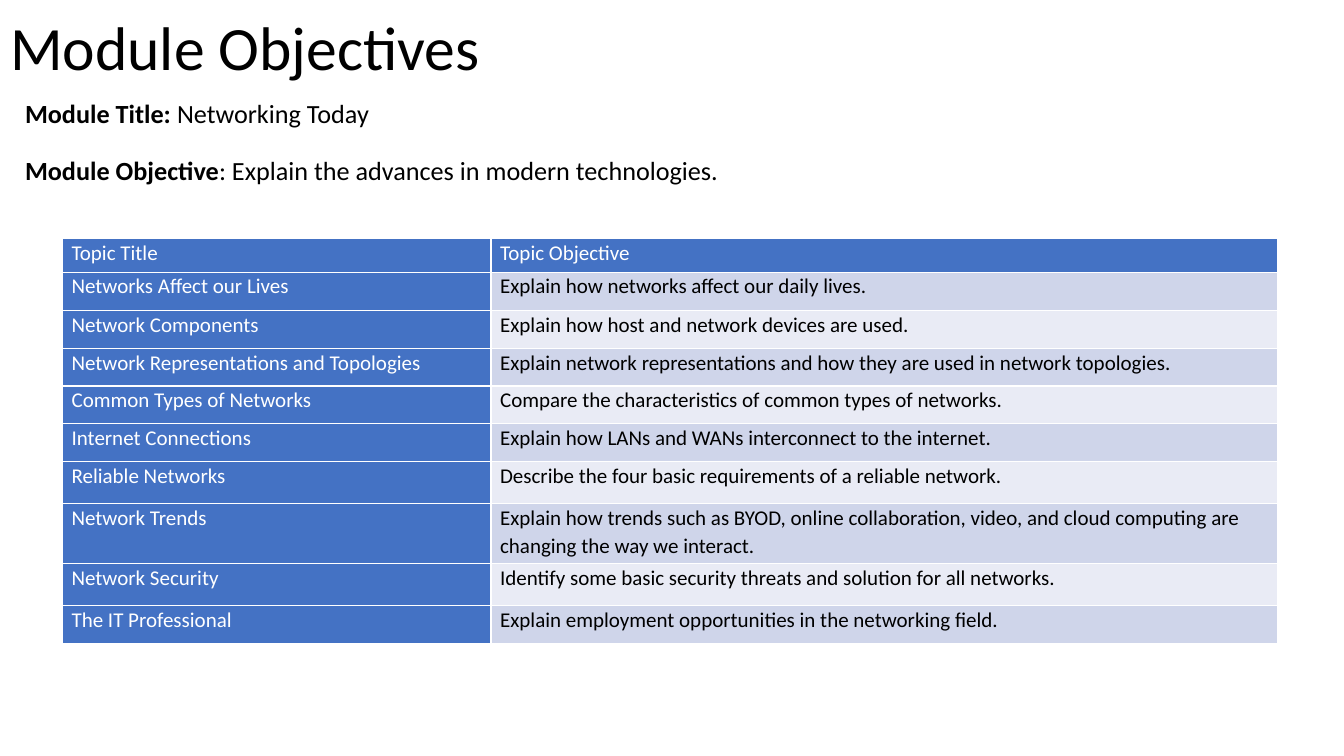
from lxml.etree import SubElement
from pptx import Presentation
from pptx.dml.color import RGBColor
from pptx.enum.text import MSO_ANCHOR, MSO_AUTO_SIZE, PP_ALIGN
from pptx.oxml.ns import qn
from pptx.util import Inches, Pt

TITLE = "Module Objectives"
INTRODUCTION = [
    ("Module Title: ", "Networking Today"),
    ("Module Objective", ": Explain the advances in modern technologies."),
]
TOPICS = [
    ("Topic Title", "Topic Objective", 0.33),
    ("Networks Affect our Lives", "Explain how networks affect our daily lives.", 0.38),
    ("Network Components", "Explain how host and network devices are used.", 0.38),
    ("Network Representations and Topologies",
     "Explain network representations and how they are used in network topologies.", 0.37),
    ("Common Types of Networks", "Compare the characteristics of common types of networks.", 0.37),
    ("Internet Connections", "Explain how LANs and WANs interconnect to the internet.", 0.38),
    ("Reliable Networks", "Describe the four basic requirements of a reliable network.", 0.42),
    ("Network Trends",
     "Explain how trends such as BYOD, online collaboration, video, and cloud computing are "
     "changing the way we interact.", 0.59),
    ("Network Security", "Identify some basic security threats and solution for all networks.", 0.42),
    ("The IT Professional", "Explain employment opportunities in the networking field.", 0.38),
]
COLUMN_WIDTHS = (4.25, 7.8)
BLUE, BANDS = "4472C4", ("E9EBF5", "CFD5EA")
BLACK, WHITE = "000000", "FFFFFF"


def color(value):
    return RGBColor.from_string(value)


def format_run(run, size, ink, bold=False):
    run.font.name = "Calibri"
    run.font.size = Pt(size)
    run.font.bold = bold
    run.font.color.rgb = color(ink)


def add_borders(cell):
    properties = cell._tc.get_or_add_tcPr()
    for side in ("lnL", "lnR", "lnT", "lnB"):
        line = SubElement(properties, qn(f"a:{side}"), w=str(Pt(1)))
        fill = SubElement(line, qn("a:solidFill"))
        SubElement(fill, qn("a:srgbClr"), val=WHITE)


def fill_cell(cell, text, fill, ink):
    cell.margin_left = cell.margin_right = Inches(0.09)
    cell.margin_top = cell.margin_bottom = 0
    add_borders(cell)
    cell.fill.solid()
    cell.fill.fore_color.rgb = color(fill)
    paragraph = cell.text_frame.paragraphs[0]
    paragraph.text = text
    paragraph.line_spacing = 1.07
    format_run(paragraph.runs[0], 15, ink)


def add_title(slide):
    title = slide.shapes.title
    title.left, title.top, title.width, title.height = map(Inches, (0, 0.06, 13.33, 0.89))
    frame = title.text_frame
    frame.text = TITLE
    frame.auto_size = MSO_AUTO_SIZE.NONE
    frame.vertical_anchor = MSO_ANCHOR.MIDDLE
    paragraph = frame.paragraphs[0]
    paragraph.alignment = PP_ALIGN.LEFT
    paragraph.line_spacing = 0.9
    format_run(paragraph.runs[0], 44, BLACK)


def add_introduction(slide):
    shape = slide.shapes.add_textbox(*map(Inches, (0.15, 0.95, 12.73, 1.21)))
    frame = shape.text_frame
    frame.word_wrap = True
    for index, parts in enumerate(INTRODUCTION):
        paragraph = frame.add_paragraph() if index else frame.paragraphs[0]
        paragraph.line_spacing = 0.9
        paragraph.space_before = Pt(20.5 if index else 0)
        for text, bold in zip(parts, (True, False)):
            run = paragraph.add_run()
            run.text = text
            format_run(run, 18.7, BLACK, bold)


def add_topics(slide):
    height = sum(topic[-1] for topic in TOPICS)
    area = map(Inches, (0.62, 2.37, sum(COLUMN_WIDTHS), height))
    table = slide.shapes.add_table(len(TOPICS), len(COLUMN_WIDTHS), *area).table
    table.first_row = table.horz_banding = False
    for column, width in zip(table.columns, COLUMN_WIDTHS):
        column.width = Inches(width)
    for index, (topic, objective, row_height) in enumerate(TOPICS):
        table.rows[index].height = Inches(row_height)
        fill_cell(table.cell(index, 0), topic, BLUE, WHITE)
        fill, ink = (BANDS[index % 2], BLACK) if index else (BLUE, WHITE)
        fill_cell(table.cell(index, 1), objective, fill, ink)


def main():
    presentation = Presentation()
    presentation.slide_width, presentation.slide_height = Inches(13.33), Inches(7.5)
    slide = presentation.slides.add_slide(presentation.slide_layouts[5])
    add_title(slide)
    add_introduction(slide)
    add_topics(slide)
    presentation.save("out.pptx")


if __name__ == "__main__":
    main()
